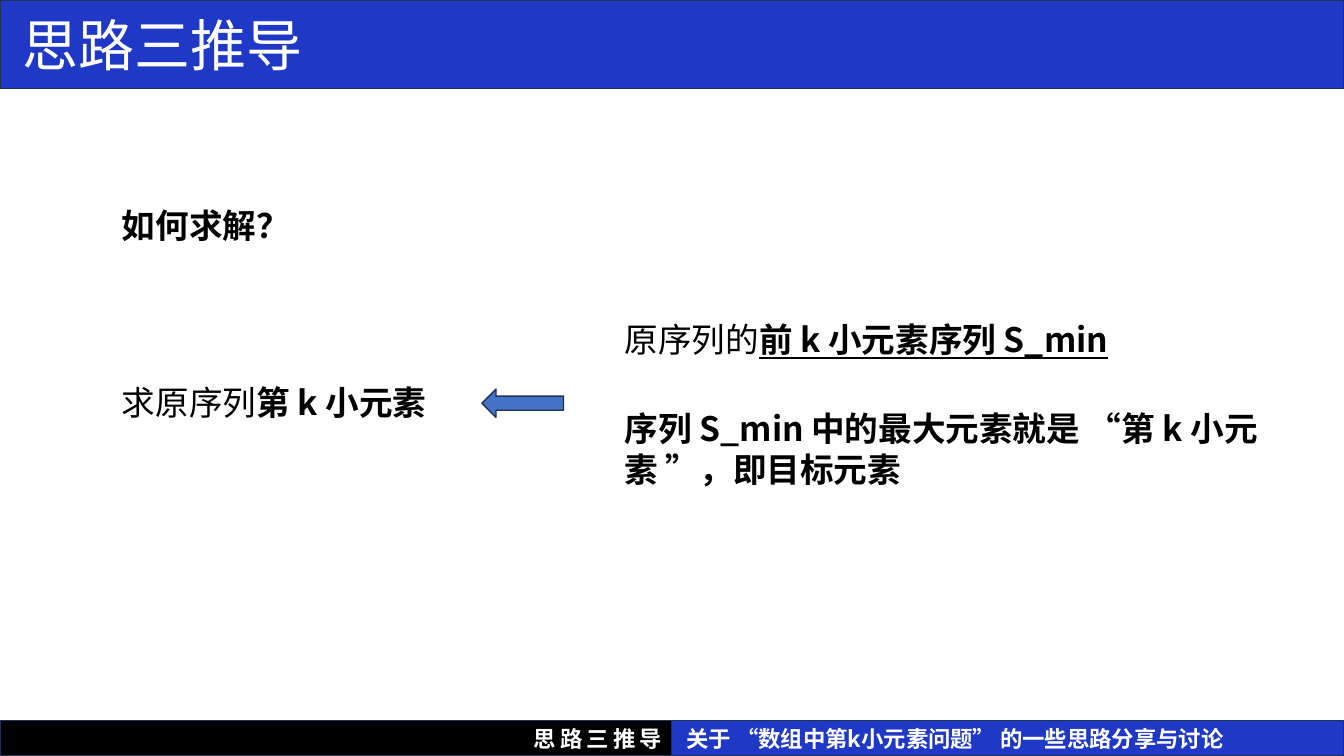
from lxml.etree import SubElement
from pptx import Presentation
from pptx.dml.color import RGBColor
from pptx.enum.shapes import MSO_SHAPE as Shape
from pptx.enum.text import MSO_ANCHOR as Anchor, MSO_AUTO_SIZE as AutoSize, PP_ALIGN as Align
from pptx.oxml.ns import qn
from pptx.util import Pt

COLORS = {
    "blue": "1F38C5",
    "black": "000000",
    "white": "FFFFFF",
    "outline": "1E3256",
    "arrow": "4472C4",
}
TOPIC = "思路三推导"


def color(name):
    return RGBColor.from_string(COLORS[name])


def add_text(paragraph, text, font="Noto Sans CJK SC", size=24, fill="black",
             bold=False, underline=False, spacing=0):
    run = paragraph.add_run()
    run.text = text
    run.font.name = font
    run.font.size = Pt(size)
    run.font.bold = bold
    run.font.underline = underline
    run.font.color.rgb = color(fill)
    properties = run.font._element
    if spacing:
        properties.set("spc", str(spacing * 100))
    SubElement(properties, qn("a:ea"), typeface=font)


class SlideBuilder:
    def __init__(self, slide):
        self.slide = slide

    def paint(self, shape, fill):
        shape.fill.solid()
        shape.fill.fore_color.rgb = color(fill)
        shape.line.color.rgb = color("outline")
        shape.line.width = Pt(1)

    def label(self, shape, text, align=Align.LEFT, inset=7.2, **style):
        frame = shape.text_frame
        frame.word_wrap = True
        frame.auto_size = AutoSize.NONE
        frame.vertical_anchor = Anchor.MIDDLE
        frame.margin_left = Pt(inset)
        paragraph = frame.paragraphs[0]
        paragraph.alignment = align
        add_text(paragraph, text, fill="white", **style)

    def title(self, text, width, height):
        shape = self.slide.shapes.title
        shape.left, shape.top = Pt(0), Pt(0)
        shape.width, shape.height = Pt(width), Pt(height)
        self.paint(shape, "blue")
        self.label(shape, text, inset=16.2, size=40)

    def shape(self, kind, left, top, width, height, fill):
        shape = self.slide.shapes.add_shape(kind, Pt(left), Pt(top), Pt(width), Pt(height))
        shape.shadow.inherit = False
        self.paint(shape, fill)
        return shape

    def footer(self, text, left, fill, **style):
        bar = self.shape(Shape.RECTANGLE, left, 514.8, 480, 25.2, fill)
        self.label(bar, text, size=16, bold=True, **style)

    def text(self, left, top, width, height, plain="", strong="", underline=False):
        box = self.slide.shapes.add_textbox(Pt(left), Pt(top), Pt(width), Pt(height))
        frame = box.text_frame
        frame.word_wrap = True
        frame.auto_size = AutoSize.SHAPE_TO_FIT_TEXT
        paragraph = frame.paragraphs[0]
        if plain:
            add_text(paragraph, plain)
        add_text(paragraph, strong, bold=True, underline=underline)


def main():
    presentation = Presentation()
    presentation.slide_width, presentation.slide_height = Pt(960), Pt(540)
    builder = SlideBuilder(presentation.slides.add_slide(presentation.slide_layouts[5]))

    builder.title(TOPIC, 960, 63.4)
    builder.footer(TOPIC, 0, "black", align=Align.RIGHT, spacing=3)
    builder.footer("关于 “数组中第k小元素问题” 的一些思路分享与讨论", 479.5, "blue", inset=10.8)

    builder.text(80, 269.3, 234, 36, plain="求原序列", strong="第 k 小元素")
    arrow = builder.shape(Shape.RIGHT_ARROW, 344.2, 277.9, 58.3, 20.2, "arrow")
    arrow.rotation = 180
    builder.text(439.2, 224.6, 449.3, 36, plain="原序列的",
                 strong="前 k 小元素序列 S_min", underline=True)
    builder.text(439.2, 288, 472.3, 65.5,
                 strong="序列 S_min 中的最大元素就是 “第 k 小元素 ”，即目标元素")
    builder.text(80, 142.6, 218.9, 36, strong="如何求解？")
    presentation.save("out.pptx")


if __name__ == "__main__":
    main()
